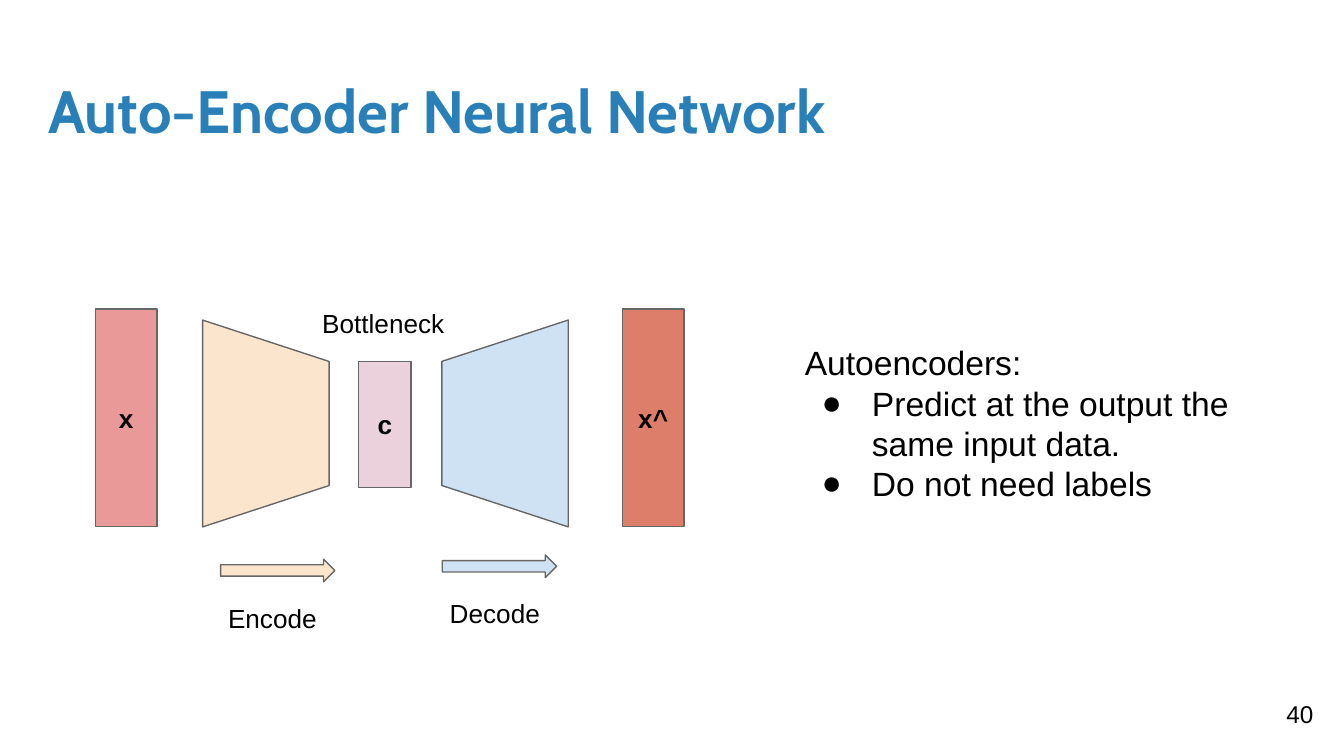
from lxml.etree import SubElement
from pptx import Presentation
from pptx.dml.color import RGBColor
from pptx.enum.shapes import MSO_SHAPE
from pptx.enum.text import MSO_ANCHOR, MSO_AUTO_SIZE, PP_ALIGN
from pptx.oxml.ns import qn
from pptx.util import Cm, Pt

COLORS = {
    "title": "2980B9", "text": "000000", "outline": "666666",
    "encoder": "FCE5CD", "decoder": "CFE2F3", "code": "EAD1DC",
    "input": "EA9999", "output": "DD7E6B",
}
INSET = Cm(0.25)


def write_text(shape, lines, size, color="text", font="Arial", bold=False,
               align=PP_ALIGN.LEFT, anchor=MSO_ANCHOR.TOP):
    frame = shape.text_frame
    frame.text = "\n".join(lines)
    frame.word_wrap = True
    frame.auto_size = MSO_AUTO_SIZE.NONE
    frame.vertical_anchor = anchor
    frame.margin_left = frame.margin_right = INSET
    frame.margin_top = frame.margin_bottom = INSET
    for paragraph in frame.paragraphs:
        paragraph.alignment = align
        for run in paragraph.runs:
            run.font.name = font
            run.font.size = Pt(size)
            run.font.bold = bold
            run.font.color.rgb = RGBColor.from_string(COLORS[color])


def add_block(kind, left, top, width, height, color):
    shape = slide.shapes.add_shape(kind, Cm(left), Cm(top), Cm(width), Cm(height))
    shape.shadow.inherit = False
    shape.fill.solid()
    shape.fill.fore_color.rgb = RGBColor.from_string(COLORS[color])
    shape.line.color.rgb = RGBColor.from_string(COLORS["outline"])
    shape.line.width = Pt(0.75)
    return shape


presentation = Presentation()
presentation.slide_width = Cm(25.4)
presentation.slide_height = Cm(14.29)
slide = presentation.slides.add_slide(presentation.slide_layouts[5])

# Title
title = slide.shapes.title
title.left, title.top, title.width, title.height = Cm(0.66), Cm(0.61), Cm(20.09), Cm(2.39)
write_text(title, ["Auto-Encoder Neural Network"], 32, "title", "Cabin", True,
           anchor=MSO_ANCHOR.BOTTOM)

# Explanation with bullets
explanation = slide.shapes.add_textbox(Cm(14.96), Cm(6.22), Cm(9.58), Cm(4.24))
write_text(explanation, ["Autoencoders:", "Predict at the output the same input data.",
                         "Do not need labels"], 18)
for paragraph in explanation.text_frame.paragraphs[1:]:
    properties = paragraph._p.get_or_add_pPr()
    properties.set("marL", str(Cm(1.27)))
    properties.set("indent", str(-Cm(0.95)))
    bullet_color = SubElement(properties, qn("a:buClr"))
    SubElement(bullet_color, qn("a:srgbClr"), val=COLORS["text"])
    SubElement(properties, qn("a:buFont"), typeface="Arial")
    SubElement(properties, qn("a:buChar"), char="●")

# Encoder and decoder trapezoids, narrow ends facing each other
for left, rotation, color in [(3.07, 270, "encoder"), (7.59, 90, "decoder")]:
    trapezoid = add_block(MSO_SHAPE.FLOWCHART_MANUAL_OPERATION, left, 6.81, 3.91, 2.39, color)
    trapezoid.rotation = rotation

# Input, code and output vectors
for text, left, top, width, height, color in [
    ("c", 6.78, 6.83, 0.99, 2.39, "code"),
    ("x", 1.8, 5.84, 1.17, 4.11, "input"),
    ("x^", 11.76, 5.84, 1.17, 4.11, "output"),
]:
    vector = add_block(MSO_SHAPE.RECTANGLE, left, top, width, height, color)
    write_text(vector, [text], 14, bold=True, align=PP_ALIGN.CENTER, anchor=MSO_ANCHOR.MIDDLE)

# Direction arrows, each with its label below
for text, left, top, color in [("Encode", 4.17, 10.57, "encoder"),
                               ("Decode", 8.36, 10.49, "decoder")]:
    add_block(MSO_SHAPE.RIGHT_ARROW, left, top, 2.16, 0.43, color)
    label = slide.shapes.add_textbox(Cm(left - 0.11), Cm(top + 0.56), Cm(3.07), Cm(0.97))
    write_text(label, [text], 14)

# Bottleneck label
bottleneck = slide.shapes.add_textbox(Cm(5.84), Cm(5.56), Cm(3.2), Cm(1.09))
write_text(bottleneck, ["Bottleneck"], 14)

# Slide number
number = slide.shapes.add_textbox(Cm(23.55), Cm(12.95), Cm(1.52), Cm(1.09))
write_text(number, ["40"], 13, align=PP_ALIGN.RIGHT, anchor=MSO_ANCHOR.MIDDLE)

presentation.save("out.pptx")
